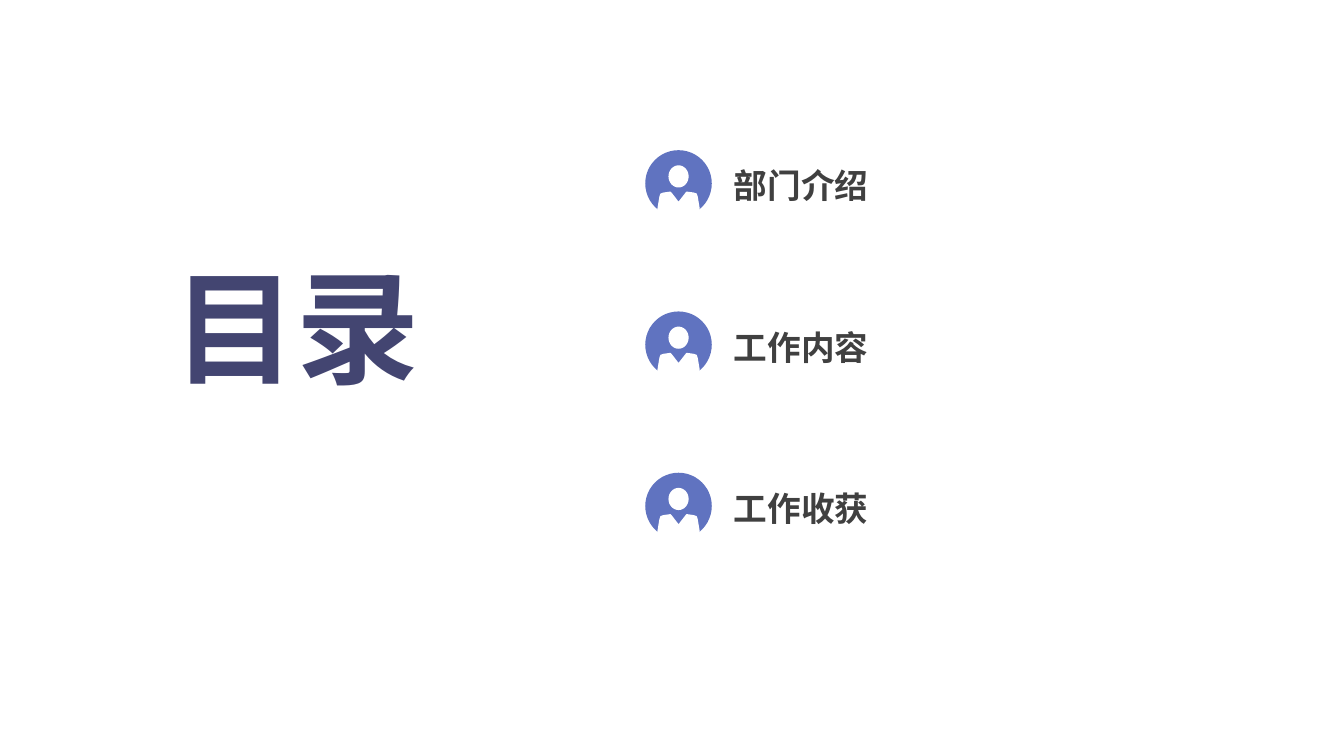
from math import cos, sin, tau
from pptx import Presentation
from pptx.dml.color import RGBColor
from pptx.enum.shapes import MSO_SHAPE
from pptx.enum.text import MSO_AUTO_SIZE, PP_ALIGN
from pptx.util import Inches, Pt


def paint(shape, color):
    """Give a shape a flat fill with no line or shadow."""
    shape.fill.solid()
    shape.fill.fore_color.rgb = RGBColor.from_string(color)
    shape.line.fill.background()
    shape.shadow.inherit = False


def write(shapes, words, box, size, color, align):
    frame = shapes.add_textbox(*map(Inches, box)).text_frame
    frame.word_wrap = True
    frame.auto_size = MSO_AUTO_SIZE.SHAPE_TO_FIT_TEXT
    line = frame.paragraphs[0]
    line.alignment = align
    run = line.add_run()
    run.text = words
    run.font.name = "Arial"
    run.font.size = Pt(size)
    run.font.bold = True
    run.font.color.rgb = RGBColor.from_string(color)


deck = Presentation()
deck.slide_width, deck.slide_height = Inches(13.33), Inches(7.5)
slide = deck.slides.add_slide(deck.slide_layouts[6])

# Outlines are measured from the top centre of the badge
head = [(0.1 * cos(tau * k / 32), 0.26 + 0.11 * sin(tau * k / 32)) for k in range(32)]
half = [(0.07, 0.42), (0.08, 0.41), (0.15, 0.42), (0.18, 0.43), (0.19, 0.46),
        (0.21, 0.58), (0.21, 0.68), (0.18, 0.7)]
body = [(0, 0.51)] + half + [(-x, y) for x, y in reversed(half)]

for row, topic in enumerate(["部门介绍", "工作内容", "工作收获"]):
    top = 1.49 + 1.6 * row
    group = slide.shapes.add_group_shape().shapes
    badge = group.add_shape(MSO_SHAPE.OVAL, Inches(6.4), Inches(top), Inches(0.66), Inches(0.66))
    paint(badge, "6073C0")
    write(group, topic, (7.18, top + 0.1, 2.21, 0.5), 24, "404040", PP_ALIGN.LEFT)

    skull, torso = [[(Inches(6.73 + x), Inches(top + y)) for x, y in part] for part in (head, body)]
    pen = group.build_freeform(*skull[0])
    pen.add_line_segments(skull[1:])
    pen.move_to(*torso[0])
    pen.add_line_segments(torso[1:])
    paint(pen.convert_to_shape(), "FFFFFF")

write(slide.shapes, "目录", (1.38, 2.44, 3.12, 1.58), 88, "434571", PP_ALIGN.CENTER)

deck.save("out.pptx")
